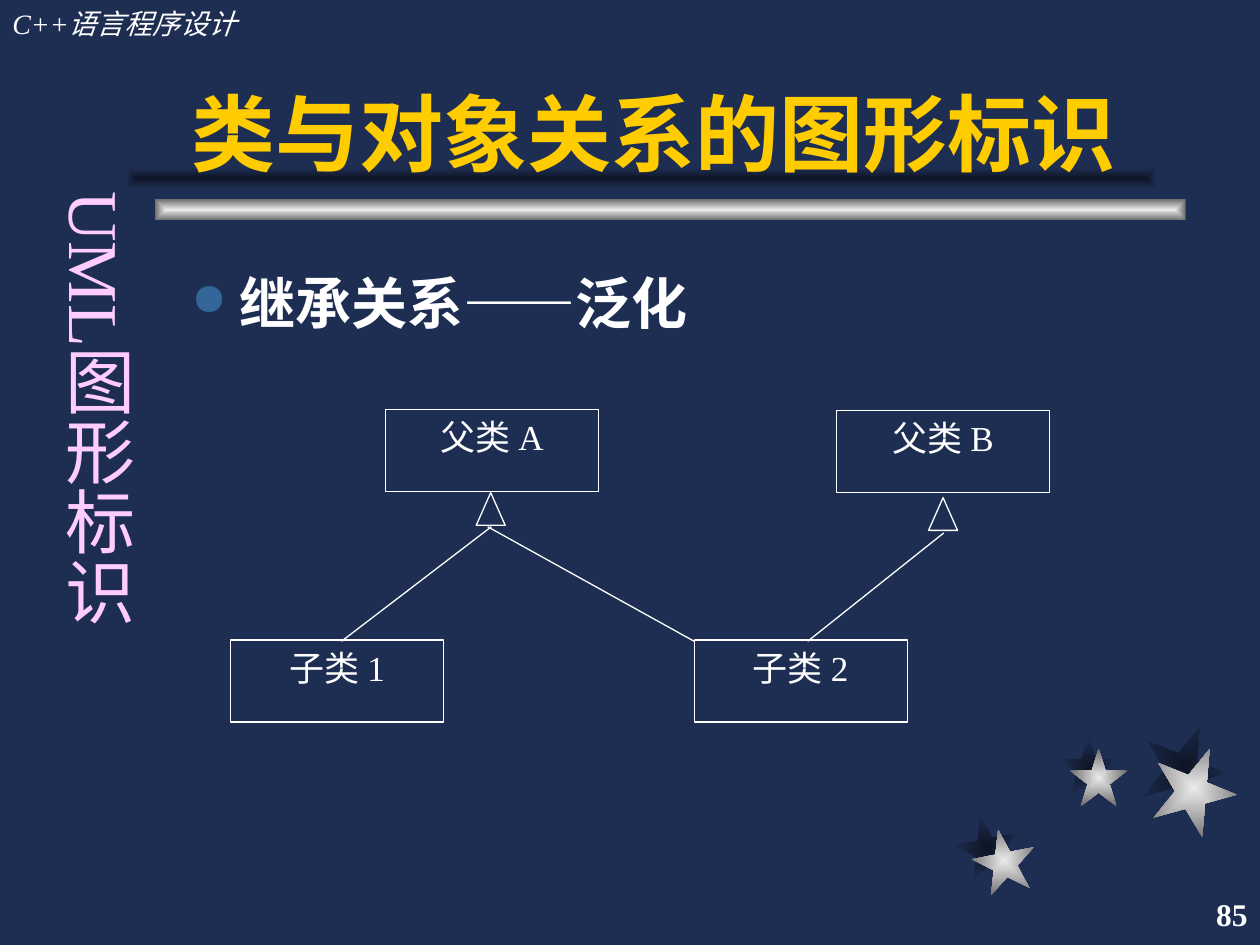
from pptx import Presentation
from pptx.dml.color import RGBColor
from pptx.enum.shapes import MSO_CONNECTOR as Conn, MSO_SHAPE as Kind
from pptx.enum.text import MSO_ANCHOR as Anchor, MSO_AUTO_SIZE as Fit, PP_ALIGN as Align
from pptx.oxml.ns import qn
from pptx.util import Pt
from lxml.etree import SubElement

PX = 9144  # 100 px to the inch
NAVY = RGBColor(0x1E, 0x2E, 0x53)
DARK = RGBColor(0x0E, 0x15, 0x26)
PALE = RGBColor(0xEA, 0xEA, 0xEA)
GRAY = RGBColor(0x6C, 0x6C, 0x6C)
WHITE = RGBColor(0xFF, 0xFF, 0xFF)
GOLD = RGBColor(0xFF, 0xCC, 0x00)
PINK = RGBColor(0xFF, 0xCC, 0xFF)
SHADE, METAL = (DARK, NAVY), (PALE, GRAY)
SERIF, SANS = "Times New Roman", "Arial"


def emu(*px):
    return [round(v * PX) for v in px]


def write(shape, text, size=20, font=SERIF, color=WHITE, bold=False, italic=False,
          align=Align.LEFT, anchor=Anchor.TOP, before=0, wrap=True, fit=Fit.NONE):
    frame = shape.text_frame
    frame.word_wrap, frame.auto_size, frame.vertical_anchor = wrap, fit, anchor
    para = frame.paragraphs[0]
    para.alignment, para.space_before = align, Pt(before)
    run = para.add_run()
    run.text = text
    face = run.font
    face.name, face.size, face.bold, face.italic = font, Pt(size), bold, italic
    face.color.rgb = color
    return para


def label(slide, box, text, **look):
    shape = slide.shapes.add_textbox(*emu(*box))
    return shape, write(shape, text, **look)


def glow(slide, kind, box, colors, turn=0):
    """Add a shape whose gradient runs from its centre to its edges."""
    shape = slide.shapes.add_shape(kind, *emu(*box))
    shape.rotation = turn
    shape.shadow.inherit = False
    shape.line.fill.background()
    shape.fill.gradient()
    for stop, color in zip(shape.fill.gradient_stops, colors):
        stop.color.rgb = color
    grad = shape.fill._xPr.find(qn("a:gradFill"))
    grad.remove(grad.find(qn("a:lin")))
    way = SubElement(grad, qn("a:path"), {"path": "rect"})
    SubElement(way, qn("a:fillToRect"), dict.fromkeys("ltrb", "50000"))


def stars(slide, x, y):
    spots = [(0, 72, 14, 11, 50, 349), (83, 10, 8, 9, 46, 0), (148, 0, 8, 17, 67, 22)]
    for colors, lit in ((SHADE, 0), (METAL, 1)):
        for left, top, dx, dy, side, turn in spots:
            box = (x + left + lit * dx, y + top + lit * dy, side, side)
            glow(slide, Kind.STAR_5_POINT, box, colors, turn)


def heading(slide, x, y, text):
    glow(slide, Kind.RECTANGLE, (x + 23, y + 133, 818, 17), METAL)
    glow(slide, Kind.RECTANGLE, (x, y + 108, 818, 17), SHADE)
    title = slide.shapes.title
    title.left, title.top, title.width, title.height = emu(x + 42, y, 783, 125)
    slide.shapes._spTree.append(title._element)  # in front of the bars
    write(title, text, size=48, font=SANS, color=GOLD, bold=True, anchor=Anchor.BOTTOM)


def bullet(slide, box, text):
    para = label(slide, box, text, size=32, font=SANS, bold=True, before=8)[1]
    props = para._p.get_or_add_pPr()
    props.set("marL", str(38 * PX))
    props.set("indent", str(-38 * PX))
    tint = SubElement(props, qn("a:buClr"))
    SubElement(tint, qn("a:srgbClr"), val="336699")
    SubElement(props, qn("a:buSzPct"), val="80000")
    SubElement(props, qn("a:buChar"), char="●")


def outline(slide, kind, box):
    shape = slide.shapes.add_shape(kind, *emu(*box))
    shape.shadow.inherit = False
    shape.fill.background()
    shape.line.color.rgb, shape.line.width = WHITE, Pt(0.75)
    return shape


def link(slide, *ends):
    line = slide.shapes.add_connector(Conn.STRAIGHT, *emu(*ends))
    line.line.color.rgb, line.line.width = WHITE, Pt(0.75)
    SubElement(line._element.spPr, qn("a:effectLst"))


def tree(slide, x, y):
    """Draw parents, children and the arrows of inheritance."""
    nodes = [("父类 A", 123, 0), ("父类 B", 481, 1), ("子类 1", 0, 183), ("子类 2", 368, 183)]
    for text, dx, dy in nodes:
        box = outline(slide, Kind.RECTANGLE, (x + dx, y + dy, 169, 65))
        write(box, text, align=Align.CENTER)
    for dx, dy in ((195, 66), (554, 70)):
        outline(slide, Kind.ISOSCELES_TRIANGLE, (x + dx, y + dy, 23, 26))
    for x1, y1, x2 in ((204, 93, 368), (207, 93, 88), (566, 98, 458)):
        link(slide, x + x1, y + y1, x + x2, y + 184)


def side(slide, box, text):
    shape = label(slide, box, text, size=40, color=PINK, fit=Fit.SHAPE_TO_FIT_TEXT)[0]
    frame = shape.text_frame
    frame.margin_left = frame.margin_right = 5 * PX
    frame.margin_top = frame.margin_bottom = 10 * PX
    frame._txBody.bodyPr.set("vert", "eaVert")


def main():
    deck = Presentation()
    deck.slide_width, deck.slide_height = emu(1000, 750)
    slide = deck.slides.add_slide(deck.slide_layouts[5])
    back = slide.background.fill
    back.solid()
    back.fore_color.rgb = NAVY
    stars(slide, 758, 575)
    label(slide, (0, 0, 308, 37), "C++语言程序设计", size=16, italic=True, before=10,
          fit=Fit.SHAPE_TO_FIT_TEXT)
    label(slide, (792, 700, 208, 50), "85", size=18, bold=True, align=Align.RIGHT,
          anchor=Anchor.MIDDLE, wrap=False)
    heading(slide, 100, 25, "类与对象关系的图形标识")
    bullet(slide, (142, 208, 792, 450), "继承关系——泛化")
    tree(slide, 183, 325)
    side(slide, (30, 142, 86, 517), "UML图形标识")
    deck.save("out.pptx")


if __name__ == "__main__":
    main()
